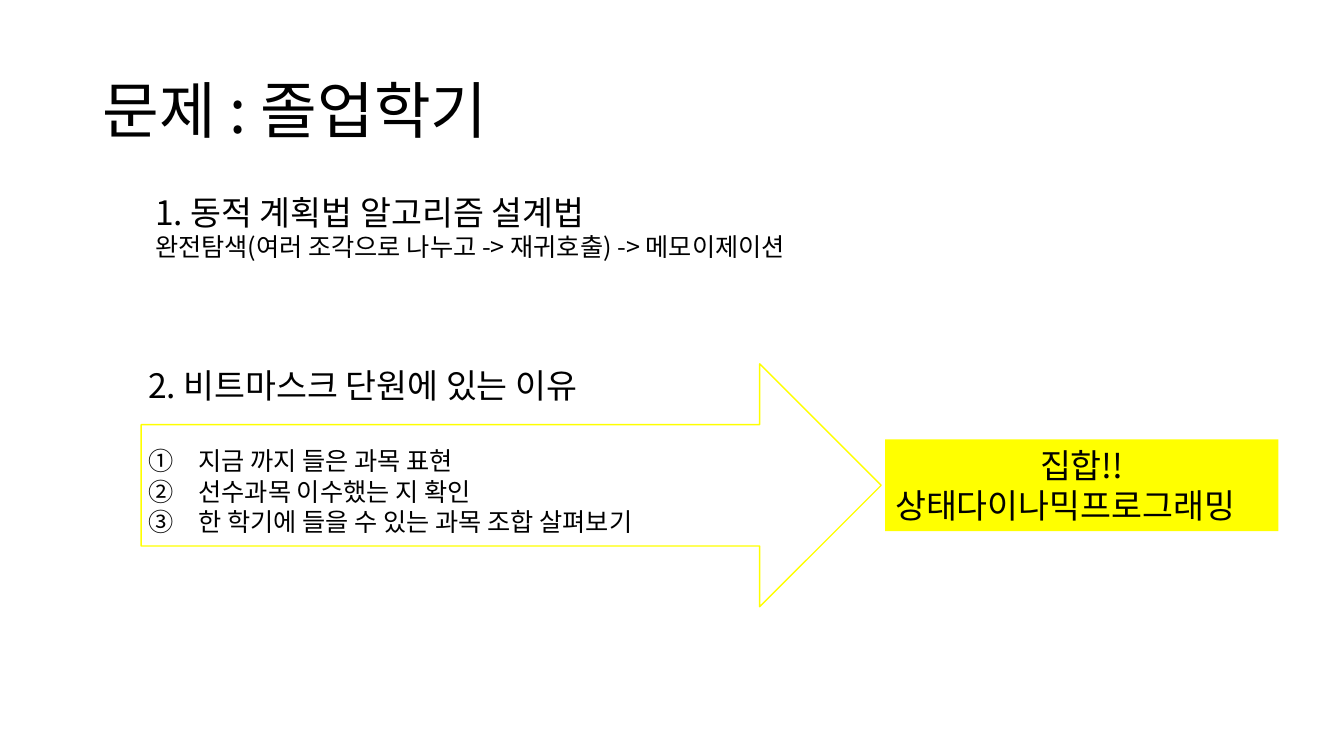
import dataclasses

import lxml.etree
import pptx
import pptx.dml.color
import pptx.enum.shapes
import pptx.enum.text
import pptx.oxml.ns
import pptx.util

Inches = pptx.util.Inches
Pt = pptx.util.Pt
Align = pptx.enum.text.PP_ALIGN
Shape = pptx.enum.shapes.MSO_SHAPE
qn = pptx.oxml.ns.qn

FONT = "Noto Sans CJK KR"
BLACK = "000000"
YELLOW = "FFFF00"


@dataclasses.dataclass(frozen=True)
class Line:
    """One paragraph of text."""
    text: str
    size: int
    align: Align = Align.LEFT
    before: int = 0
    ratio: float = 1.0
    number: bool = False


@dataclasses.dataclass(frozen=True)
class Block:
    """A box of lines, with an optional fill."""
    left: float
    top: float
    width: float
    height: float
    lines: tuple[Line, ...]
    fill: str = ""
    middle: bool = False


def color(code: str) -> pptx.dml.color.RGBColor:
    """Turn a hex string into a colour."""
    return pptx.dml.color.RGBColor.from_string(code)


def add_line(para, line: Line) -> None:
    """Write one line into a paragraph."""
    para.alignment = line.align
    para.space_before = Pt(line.before)
    para.line_spacing = line.ratio
    if line.number:
        props = para._p.get_or_add_pPr()
        props.set("marL", str(Inches(0.5)))
        props.set("indent", str(-Inches(0.5)))
        lxml.etree.SubElement(props, qn("a:buAutoNum"), type="circleNumDbPlain")
    run = para.add_run()
    run.text = line.text
    run.font.size = Pt(line.size)
    run.font.name = FONT
    run.font.color.rgb = color(BLACK)
    lxml.etree.SubElement(run._r.get_or_add_rPr(), qn("a:ea"), typeface=FONT)


def add_block(slide, block: Block) -> None:
    """Draw a text box, or a filled box when a fill is given."""
    area = [Inches(n) for n in (block.left, block.top, block.width, block.height)]
    if block.fill:
        shape = slide.shapes.add_shape(Shape.RECTANGLE, *area)
        shape.shadow.inherit = False
        shape.fill.solid()
        shape.fill.fore_color.rgb = color(block.fill)
        shape.line.fill.background()
    else:
        shape = slide.shapes.add_textbox(*area)
    frame = shape.text_frame
    frame.word_wrap = True
    anchor = pptx.enum.text.MSO_ANCHOR
    frame.vertical_anchor = anchor.MIDDLE if block.middle else anchor.TOP
    for index, line in enumerate(block.lines):
        para = frame.add_paragraph() if index else frame.paragraphs[0]
        add_line(para, line)


def add_arrow(slide) -> None:
    """Draw the outlined arrow around the reasons."""
    area = [Inches(n) for n in (1.4, 3.61, 7.34, 2.41)]
    arrow = slide.shapes.add_shape(Shape.RIGHT_ARROW, *area)
    arrow.shadow.inherit = False
    arrow.fill.background()
    arrow.line.color.rgb = color(YELLOW)
    arrow.line.width = Pt(1)


TITLE = Block(0.92, 0.4, 11.5, 1.45, (
    Line("문제 : 졸업학기", 44, ratio=0.9),
), middle=True)
REASONS = Block(1.37, 3.57, 5.62, 2.73, (
    Line("2. 비트마스크 단원에 있는 이유", 24),
    Line("지금 까지 들은 과목 표현", 18, before=29, number=True),
    Line("선수과목 이수했는 지 확인", 18, number=True),
    Line("한 학기에 들을 수 있는 과목 조합 살펴보기", 18, number=True),
))
RESULT = Block(8.78, 4.36, 3.9, 0.91, (
    Line("집합!!", 24, Align.CENTER),
    Line("상태다이나믹프로그래밍", 24),
), fill=YELLOW)
DESIGN = Block(1.44, 1.85, 7.26, 0.81, (
    Line("1. 동적 계획법 알고리즘 설계법", 24),
    Line("완전탐색(여러 조각으로 나누고 -> 재귀호출) -> 메모이제이션", 18),
))


def main() -> None:
    """Build and save the slide."""
    deck = pptx.Presentation()
    deck.slide_width = Inches(13.33)
    deck.slide_height = Inches(7.5)
    slide = deck.slides.add_slide(deck.slide_layouts[6])
    for block in (TITLE, REASONS, RESULT, DESIGN):
        add_block(slide, block)
    add_arrow(slide)
    deck.save("out.pptx")


main()
